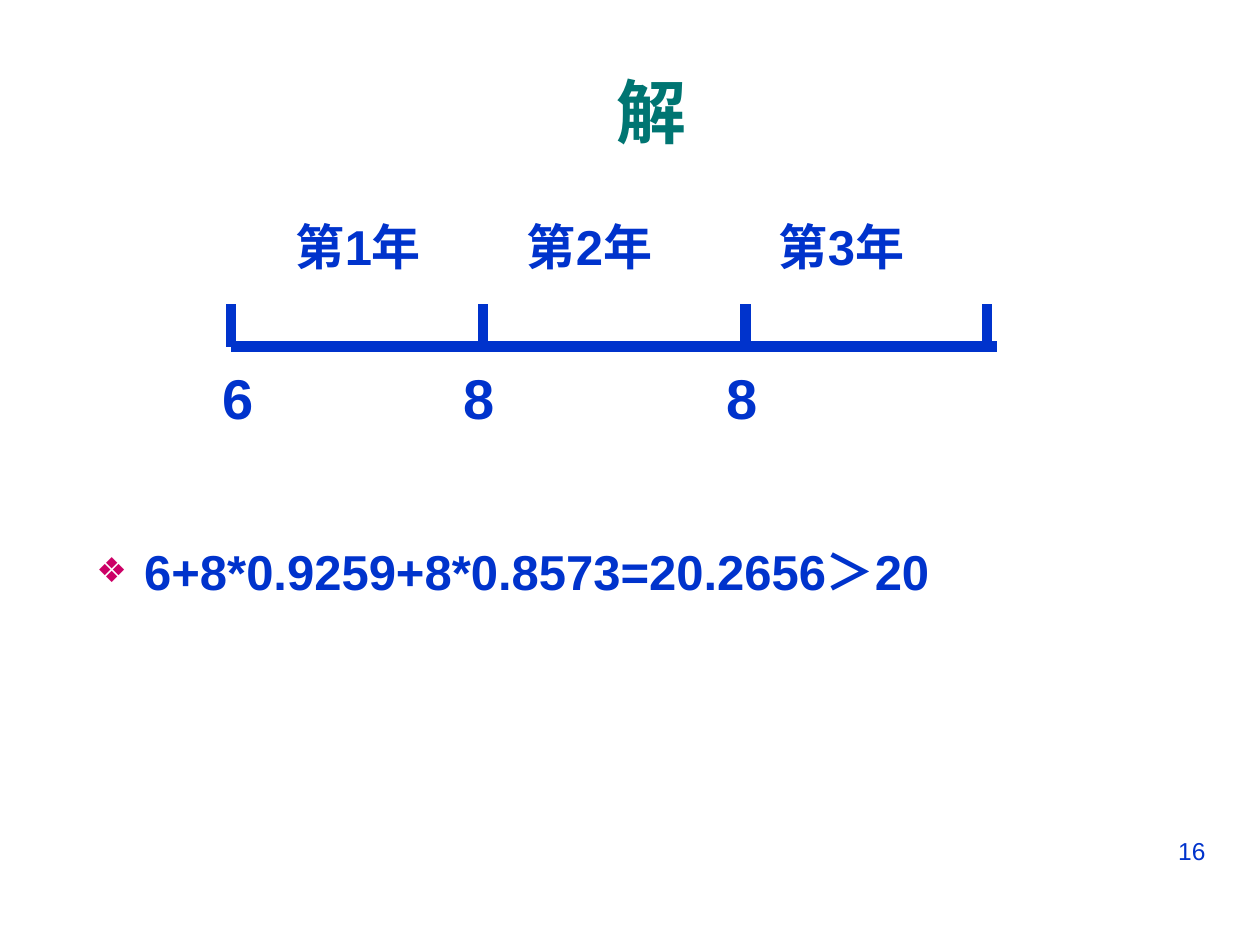
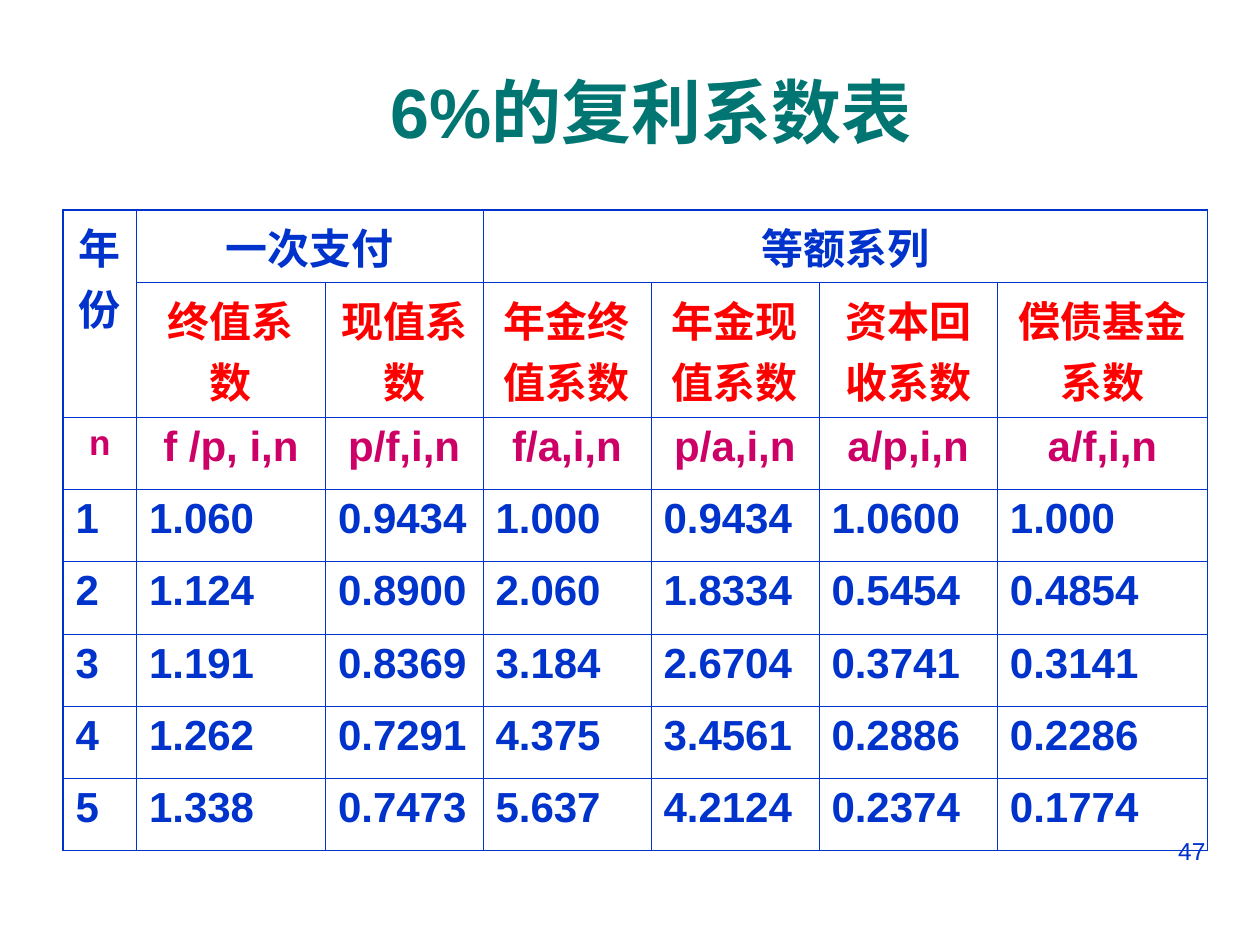
from lxml.etree import SubElement
from pptx import Presentation
from pptx.dml.color import RGBColor
from pptx.enum.shapes import MSO_CONNECTOR
from pptx.enum.text import MSO_ANCHOR, PP_ALIGN
from pptx.oxml import parse_xml
from pptx.oxml.ns import nsdecls, qn
from pptx.util import Inches, Pt

BLUE = "0033CC"
TEAL = "007572"
MAGENTA = "CC0066"
RED = "FF0000"
FONT = "Arial"
COLUMNS, ROWS = 120, 90


def color(hex_value):
    return RGBColor.from_string(hex_value)


def add_bullet(paragraph, symbol, hex_value, percent, indent):
    properties = paragraph._p.get_or_add_pPr()
    properties.set("marL", str(Inches(indent)))
    properties.set("indent", str(-Inches(indent)))
    tint = SubElement(properties, qn("a:buClr"))
    SubElement(tint, qn("a:srgbClr"), val=hex_value)
    SubElement(properties, qn("a:buSzPct"), val=str(percent * 1000))
    SubElement(properties, qn("a:buFont"), typeface=FONT)
    SubElement(properties, qn("a:buChar"), char=symbol)


def write(frame, text, size=28, ink=BLUE, bold=True, align=PP_ALIGN.LEFT, bullet=None):
    frame.word_wrap = True
    paragraph = frame.paragraphs[0]
    paragraph.alignment = align
    if bullet:
        add_bullet(paragraph, bullet, MAGENTA, 70, 0.38)
    run = paragraph.add_run()
    run.text = text
    run.font.name = FONT
    run.font.size = Pt(size)
    run.font.bold = bold
    run.font.color.rgb = color(ink)


class Deck:
    outer_border, inner_border = 1.08, 0.45

    def __init__(self):
        self.presentation = Presentation()
        self.presentation.slide_width = Inches(10)
        self.presentation.slide_height = Inches(7.5)
        self.slide = None

    def x(self, columns):
        return round(self.presentation.slide_width * columns / COLUMNS)

    def y(self, rows):
        return round(self.presentation.slide_height * rows / ROWS)

    def new_slide(self, title, number):
        self.slide = self.presentation.slides.add_slide(self.presentation.slide_layouts[6])
        self.text(number, 86, 79, 30, 6, size=14, bold=False, align=PP_ALIGN.RIGHT)
        self.text(title, 6, 5, 112, 11, anchor=MSO_ANCHOR.MIDDLE,
                  size=40, ink=TEAL, align=PP_ALIGN.CENTER)

    def text(self, words, left, top, width, height, anchor=MSO_ANCHOR.TOP, **style):
        box = self.slide.shapes.add_textbox(self.x(left), self.y(top), self.x(width), self.y(height))
        box.text_frame.vertical_anchor = anchor
        write(box.text_frame, words, **style)

    def line(self, x1, y1, x2, y2, width=6):
        stroke = self.slide.shapes.add_connector(
            MSO_CONNECTOR.STRAIGHT, self.x(x1), self.y(y1), self.x(x2), self.y(y2))
        stroke.line.color.rgb = color(BLUE)
        stroke.line.width = Pt(width)
        SubElement(stroke._element.spPr, qn("a:effectLst"))

    def table(self, left, top, widths, heights):
        frame = self.slide.shapes.add_table(
            len(heights), len(widths), self.x(left), self.y(top),
            self.x(sum(widths)), self.y(sum(heights)))
        grid = frame.table
        grid.first_row = grid.horz_banding = False
        for column, width in zip(grid.columns, widths):
            column.width = self.x(width)
        for row, height in zip(grid.rows, heights):
            row.height = self.y(height)
        return grid

    def cell(self, grid, row, column, words, **style):
        cell = grid.cell(row, column)
        write(cell.text_frame, words, **style)
        cell.fill.background()
        on_edge = {
            "L": column == 0,
            "R": column + cell.span_width == len(grid.columns),
            "T": row == 0,
            "B": row + cell.span_height == len(grid.rows),
        }
        for position, (side, outer) in enumerate(on_edge.items()):
            width = Pt(self.outer_border if outer else self.inner_border)
            border = parse_xml(
                f'<a:ln{side} {nsdecls("a")} w="{width}"><a:solidFill>'
                f'<a:srgbClr val="{BLUE}"/></a:solidFill></a:ln{side}>')
            cell._tc.get_or_add_tcPr().insert(position, border)


def build_solution(deck):
    deck.new_slide("解", "16")
    deck.text("6+8*0.9259+8*0.8573=20.2656＞20", 8, 51, 102, 11, bullet="❖")
    deck.line(22, 33, 95, 33)
    for tick in (22, 46, 71, 94):
        deck.line(tick, 29, tick, 33)
    for year, left in enumerate((27, 49, 73), 1):
        deck.text(f"第{year}年", left, 20, 19, 7)
    for payment, left in (("6", 20), ("8", 43), ("8", 68)):
        deck.text(payment, left, 34, 5, 7.7, size=32)


def build_factor_table(deck):
    deck.new_slide("6%的复利系数表", "47")
    groups = (("年份", 0, 1, 0), ("一次支付", 1, 0, 2), ("等额系列", 3, 0, 6))
    names = ("终值系数", "现值系数", "年金终值系数", "年金现值系数", "资本回收系数", "偿债基金系数")
    symbols = ("n", "f /p, i,n", "p/f,i,n", "f/a,i,n", "p/a,i,n", "a/p,i,n", "a/f,i,n")
    factors = (
        ("1", "1.060", "0.9434", "1.000", "0.9434", "1.0600", "1.000"),
        ("2", "1.124", "0.8900", "2.060", "1.8334", "0.5454", "0.4854"),
        ("3", "1.191", "0.8369", "3.184", "2.6704", "0.3741", "0.3141"),
        ("4", "1.262", "0.7291", "4.375", "3.4561", "0.2886", "0.2286"),
        ("5", "1.338", "0.7473", "5.637", "4.2124", "0.2374", "0.1774"),
    )
    single_line, double_line = 6.88, 12.86
    heights = [single_line, double_line] + [single_line] * (1 + len(factors))
    grid = deck.table(6, 20, (7, 18, 15, 16, 16, 17, 20), heights)
    heading = {"size": 24, "align": PP_ALIGN.CENTER}

    for group, first, last_row, last_column in groups:
        grid.cell(0, first).merge(grid.cell(last_row, last_column))
        deck.cell(grid, 0, first, group, **heading)
    for column, name in enumerate(names, 1):
        deck.cell(grid, 1, column, name, ink=RED, **heading)
    for column, symbol in enumerate(symbols):
        size = 24 if column else 20
        deck.cell(grid, 2, column, symbol, size=size, ink=MAGENTA, align=PP_ALIGN.CENTER)
    for row, year in enumerate(factors, 3):
        for column, factor in enumerate(year):
            deck.cell(grid, row, column, factor, size=24)


def main():
    deck = Deck()
    build_solution(deck)
    build_factor_table(deck)
    deck.presentation.save("out.pptx")


if __name__ == "__main__":
    main()
